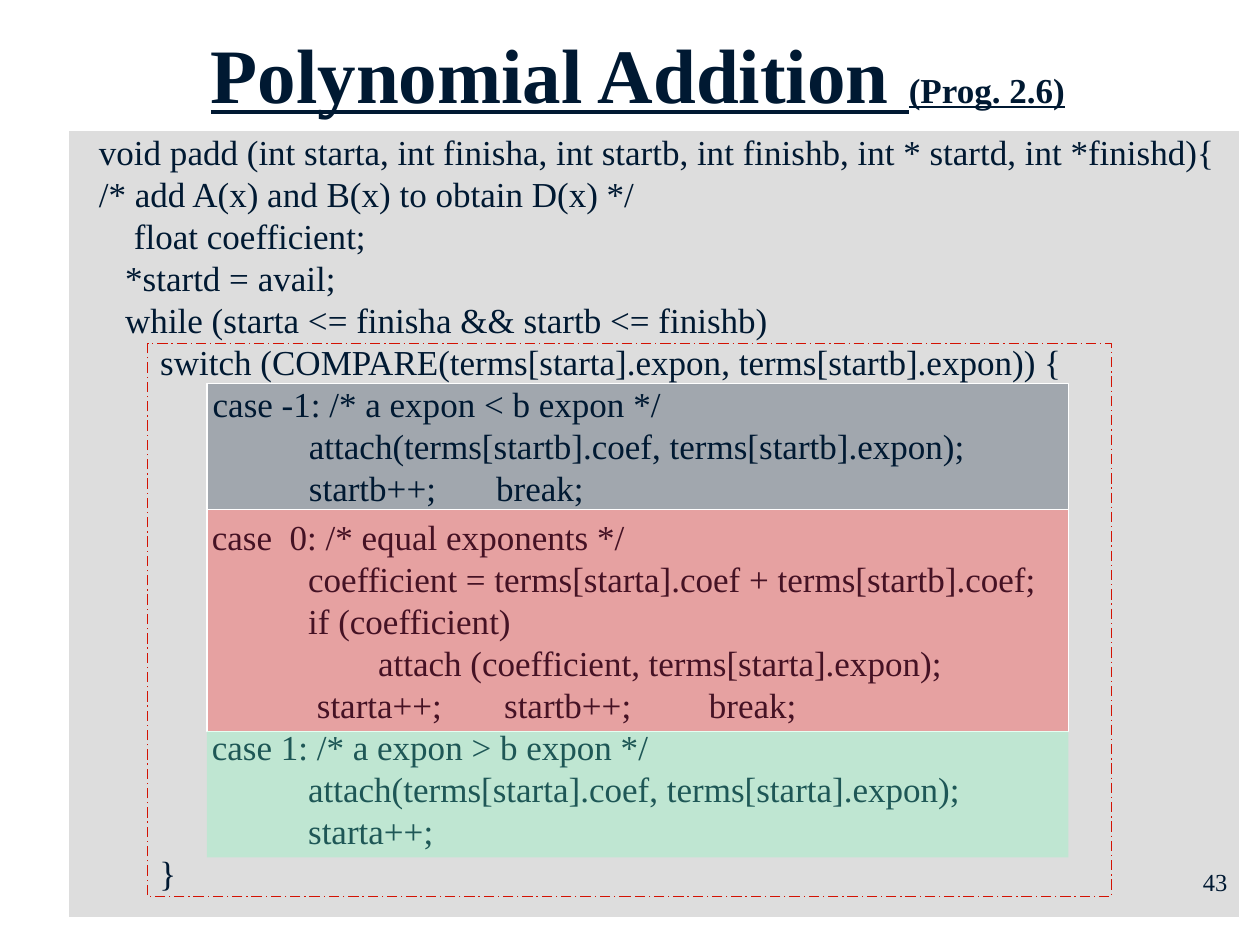
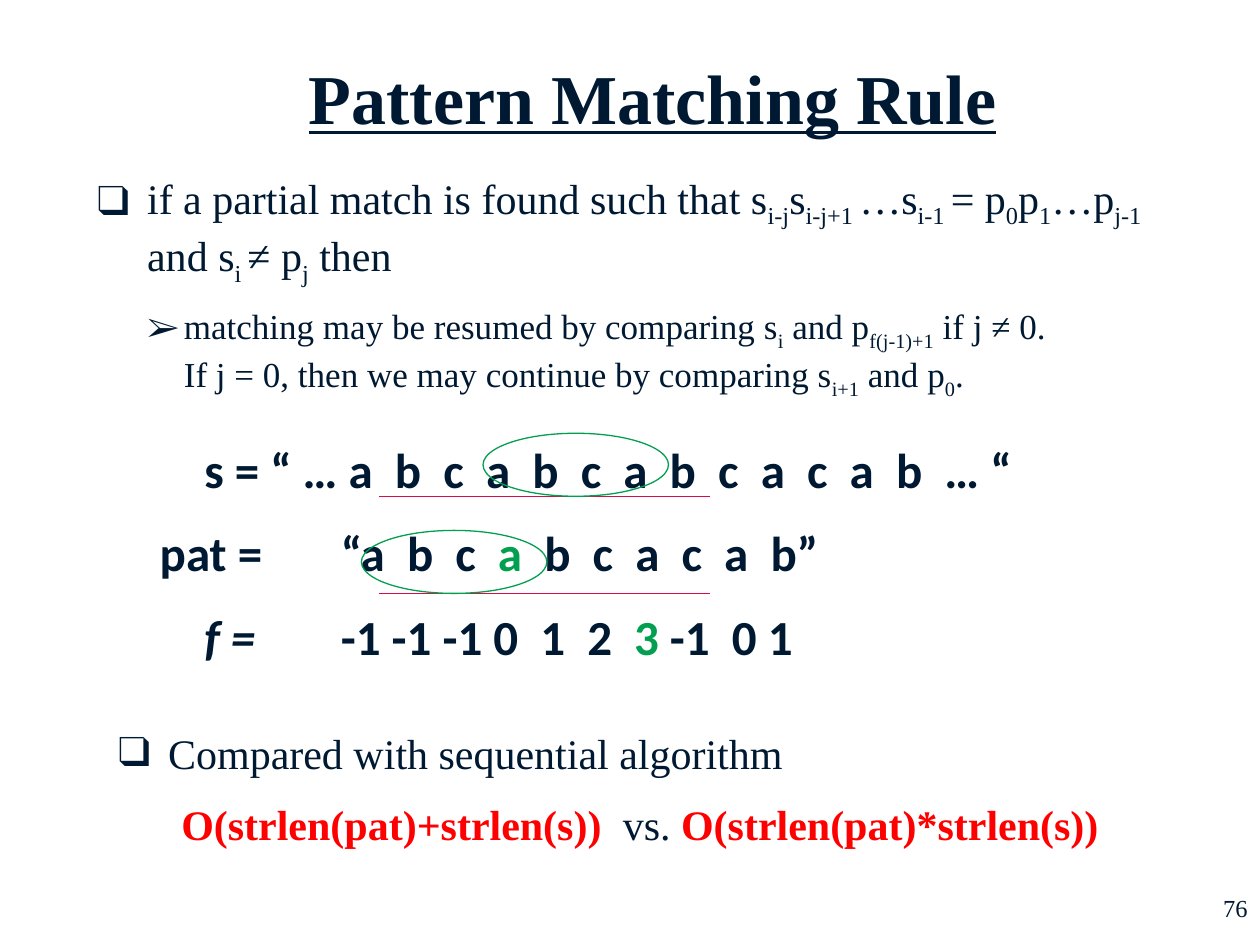
from dataclasses import dataclass
from typing import Optional

from lxml.etree import SubElement
from pptx import Presentation
from pptx.dml.color import RGBColor
from pptx.enum.dml import MSO_LINE_DASH_STYLE as Dash
from pptx.enum.shapes import MSO_CONNECTOR as Connector, MSO_SHAPE as Shape
from pptx.enum.text import PP_ALIGN as Align
from pptx.oxml.ns import qn
from pptx.util import Pt

INK, WHITE, PANEL = "001932", "FFFFFF", "DDDDDD"
GREEN, CRIMSON, RED, FRAME_RED, MINT = "039F51", "D60E47", "FF0000", "D31203", "70FFB8"
SERIF, SANS = "Times New Roman", "Calibri"


@dataclass(frozen=True)
class Box:
    """A rectangle in points."""
    left: float
    top: float
    width: float
    height: float


@dataclass(frozen=True)
class Span:
    """A stretch of text in one style."""
    text: str
    size: float = 24
    color: str = INK
    font: str = SERIF
    bold: bool = False
    italic: bool = False
    underline: bool = False
    subscript: bool = False


@dataclass(frozen=True)
class Line:
    """A paragraph with its layout."""
    spans: tuple[Span, ...]
    align: Align = Align.LEFT
    before: float = 0
    pitch: Optional[float] = None
    margin: float = 0
    hanging: float = 0
    bullet: str = ""
    level: int = 0
    tabs: tuple[float, ...] = ()


@dataclass(frozen=True)
class Figure:
    """A preset shape with its fill and outline."""
    box: Box
    kind: Shape = Shape.RECTANGLE
    fill: Optional[str] = None
    opacity: int = 100
    outline: Optional[str] = None
    dash: Optional[Dash] = None


def rgb(code: str) -> RGBColor:
    """Turn a hex string into a colour."""
    return RGBColor.from_string(code)


def add_span(paragraph, span: Span) -> None:
    """Append one styled run, or a line break."""
    if span.text == "\v":
        paragraph.add_line_break()
        return
    run = paragraph.add_run()
    run.text = span.text
    font = run.font
    font.name, font.size = span.font, Pt(span.size)
    font.bold, font.italic, font.underline = span.bold, span.italic, span.underline
    font.color.rgb = rgb(span.color)
    if span.subscript:
        run._r.get_or_add_rPr().set("baseline", "-25000")


def add_text(slide, box: Box, *lines: Line) -> None:
    """Place a text box holding the given paragraphs."""
    frame = slide.shapes.add_textbox(
        Pt(box.left), Pt(box.top), Pt(box.width), Pt(box.height)).text_frame
    frame.word_wrap = True
    for number, line in enumerate(lines):
        paragraph = frame.add_paragraph() if number else frame.paragraphs[0]
        paragraph.alignment, paragraph.level = line.align, line.level
        paragraph.space_before = Pt(line.before)
        if line.pitch:
            paragraph.line_spacing = Pt(line.pitch)
        layout = paragraph._p.get_or_add_pPr()
        if line.margin:
            layout.set("marL", str(Pt(line.margin)))
            layout.set("indent", str(Pt(-line.hanging)))
        if line.bullet:
            SubElement(layout, qn("a:buFont"), typeface=SERIF)
            SubElement(layout, qn("a:buChar"), char=line.bullet)
        if line.tabs:
            stops = SubElement(layout, qn("a:tabLst"))
            for stop in line.tabs:
                SubElement(stops, qn("a:tab"), pos=str(Pt(stop)), algn="l")
        for span in line.spans:
            add_span(paragraph, span)


def add_figure(slide, figure: Figure) -> None:
    """Draw a preset shape."""
    box = figure.box
    shape = slide.shapes.add_shape(
        figure.kind, Pt(box.left), Pt(box.top), Pt(box.width), Pt(box.height))
    shape.shadow.inherit = False
    if figure.fill:
        shape.fill.solid()
        shape.fill.fore_color.rgb = rgb(figure.fill)
        if figure.opacity < 100:
            tint = shape._element.spPr.find(".//" + qn("a:srgbClr"))
            SubElement(tint, qn("a:alpha"), val=str(figure.opacity * 1000))
    else:
        shape.fill.background()
    if figure.outline:
        shape.line.color.rgb = rgb(figure.outline)
        shape.line.width = Pt(0.75)
        if figure.dash:
            shape.line.dash_style = figure.dash
    else:
        shape.line.fill.background()


def add_underscore(slide, left: float, right: float, y: float) -> None:
    """Draw a horizontal marking line."""
    mark = slide.shapes.add_connector(Connector.STRAIGHT, Pt(left), Pt(y), Pt(right), Pt(y))
    mark.line.color.rgb = rgb(CRIMSON)
    mark.line.width = Pt(0.75)
    SubElement(mark._element.spPr, qn("a:effectLst"))


def add_title(slide, box: Box, title: str, size: float, suffix: str = "") -> None:
    """Write the underlined heading with an optional small suffix."""
    spans = [Span(title, size, bold=True, underline=True)]
    if suffix:
        spans.append(Span(suffix, 20, bold=True, underline=True))
    add_text(slide, box, Line(tuple(spans), Align.CENTER))


def add_page_number(slide, left: float, top: float, number: str) -> None:
    """Write the page number."""
    add_text(slide, Box(left, top, 150, 36), Line((Span(number, 14),), Align.RIGHT))


def code(text: str, *columns: float) -> Line:
    """Make a line of code whose tabs stop at the given columns."""
    return Line((Span(text, 20),), pitch=24, tabs=columns)


def with_subscripts(text: str, size: float) -> tuple[Span, ...]:
    """Split text at bars, every second part being a subscript."""
    return tuple(Span(part, size, subscript=bool(place % 2))
                 for place, part in enumerate(text.split("|")))


def sample(text: str, color: str = INK, italic: bool = False) -> Span:
    """Make a bold span of the matching example."""
    return Span(text, 28, color, SANS, bold=True, italic=italic)


def build_addition(slide) -> None:
    """Build the polynomial addition slide."""
    add_figure(slide, Figure(Box(38.9, 74.3, 669.6, 450), fill=PANEL, outline=WHITE))
    add_page_number(slide, 558.5, 492, "43")
    add_text(
        slide, Box(49.5, 70.8, 659, 220),
        code("void padd (int starta, int finisha, int startb, int finishb, int * startd, int *finishd){"),
        code("/* add A(x) and B(x) to obtain D(x) */"),
        code("\tfloat coefficient;", 20),
        code("\t*startd = avail;", 15),
        code("\twhile (starta <= finisha && startb <= finishb)", 15),
        code("\tswitch (COMPARE(terms[starta].expon, terms[startb].expon)) {", 35),
        code("\tcase -1: /* a expon < b expon */", 65),
        code("\tattach(terms[startb].coef, terms[startb].expon);", 120),
        code("\tstartb++;\tbreak;", 120, 227))
    add_title(slide, Box(67.5, 11.5, 594, 60.5), "Polynomial Addition ", 44, "(Prog. 2.6)")
    add_text(
        slide, Box(84, 291, 577, 221),
        code("\tcase  0: /* equal exponents */", 30),
        code("\tcoefficient = terms[starta].coef + terms[startb].coef;", 85),
        code("\tif (coefficient)", 85),
        code("\tattach (coefficient, terms[starta].expon);", 125),
        code("\tstarta++;\tstartb++;\tbreak;", 90, 197, 314),
        code("\tcase 1: /* a expon > b expon */", 30),
        code("\tattach(terms[starta].coef, terms[starta].expon);", 85),
        code("\tstarta++;", 85),
        code("}"))
    top = 219
    for tint, height, outline in ((INK, 72, WHITE), (RED, 127, WHITE), (MINT, 72, None)):
        add_figure(slide, Figure(Box(118.3, top, 492.2, height), fill=tint, opacity=27, outline=outline))
        top += height
    add_figure(slide, Figure(Box(84.3, 196.4, 550.7, 316.1), outline=FRAME_RED, dash=Dash.LONG_DASH_DOT))


def build_matching(slide) -> None:
    """Build the pattern matching slide."""
    add_page_number(slide, 570, 507, "76")
    columns = (25.5, 103.5)
    add_text(
        slide, Box(84.2, 247.5, 572.5, 142),
        Line((sample("\ts = “ … a  b  c  a  b  c  a  b  c  a  c  a  b  … “"),), tabs=columns),
        Line((sample("pat =\t“a  b  c  "), sample("a", GREEN), sample("  b  c  a  c  a  b”")),
             before=14, tabs=columns),
        Line((sample("\tf =\t", italic=True), sample("-1 -1 -1 0  1  2  "),
              sample("3", GREEN), sample(" -1  0 1")), before=14, tabs=columns))
    for ellipse_left, bottom in ((276, 283.6), (206.5, 339.1)):
        add_underscore(slide, 216.5, 405.5, bottom)
        add_figure(slide, Figure(Box(ellipse_left, bottom - 36, 106, 36), Shape.OVAL, outline=GREEN))
    add_text(
        slide, Box(48.5, 95, 641.5, 126),
        Line(with_subscripts(
            "if a partial match is found such that s|i-j|s|i-j+1 |…s|i-1 |= p|0|p|1|…p|j-1"
            "| and s|i |≠ p|j| then", 24), margin=28.5, hanging=28.5, bullet="❑"),
        Line((*with_subscripts(
            "matching may be resumed by comparing s|i| and p|f(j-1)+1| if j ≠ 0. ", 20),
            Span("\v"),
            *with_subscripts("If j = 0, then we may continue by comparing s|i+1| and p|0|.", 20)),
            before=10, margin=49.5, hanging=21, bullet="➢", level=1))
    add_text(
        slide, Box(60.5, 412, 641.5, 80),
        Line((Span("Compared with sequential algorithm"),), margin=28.5, hanging=28.5, bullet="❑"),
        Line((Span("O(strlen(pat)+strlen(s))  ", color=RED, bold=True), Span("vs. "),
              Span("O(strlen(pat)*strlen(s))", color=RED, bold=True)), before=12, margin=36))
    add_title(slide, Box(140, 27.8, 466, 55.5), "Pattern Matching Rule", 40)


def main() -> None:
    """Build and save the presentation."""
    deck = Presentation()
    deck.slide_width, deck.slide_height = Pt(720), Pt(540)
    for build in (build_addition, build_matching):
        slide = deck.slides.add_slide(deck.slide_layouts[6])
        slide.background.fill.solid()
        slide.background.fill.fore_color.rgb = rgb(WHITE)
        build(slide)
    deck.save("out.pptx")


if __name__ == "__main__":
    main()
